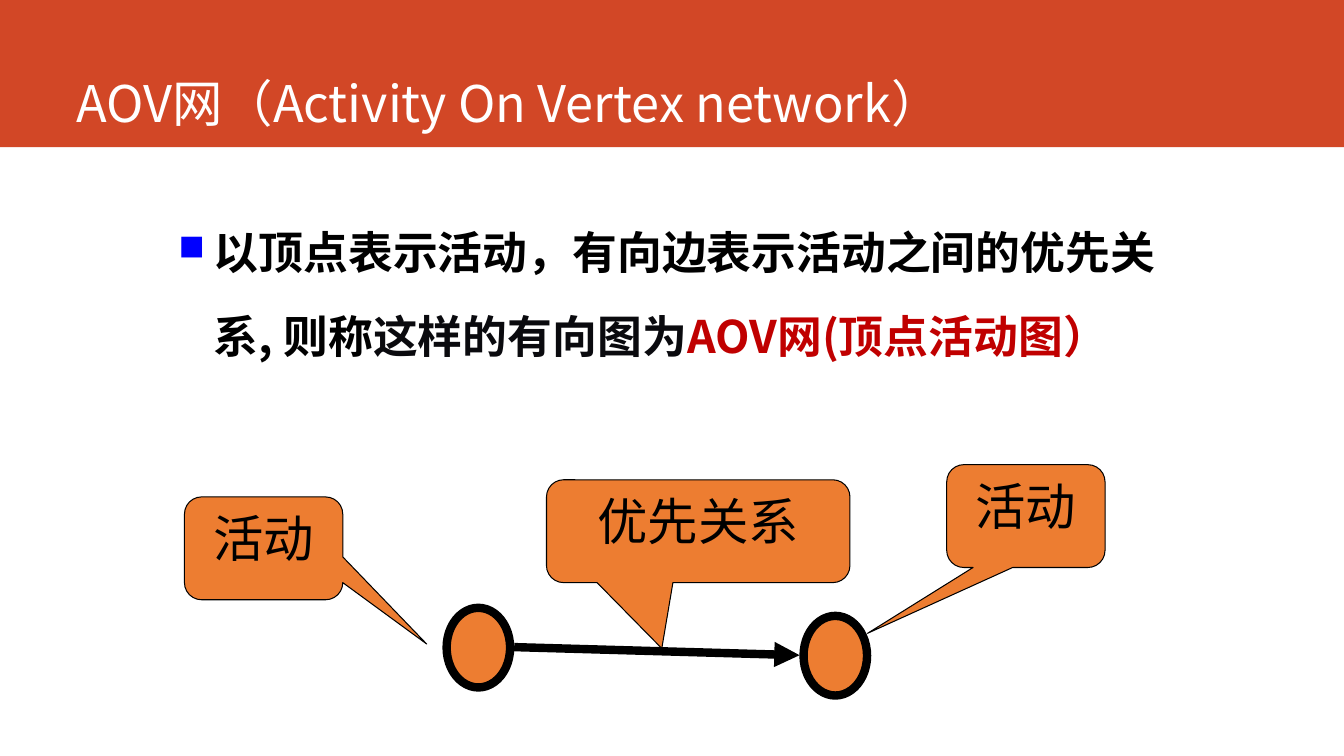
import pptx
import pptx.util
import pptx.dml.color
import pptx.enum.shapes
import pptx.enum.text
import pptx.oxml.ns
from lxml import etree

Inches = pptx.util.Inches
Pt = pptx.util.Pt
RGBColor = pptx.dml.color.RGBColor
Shape = pptx.enum.shapes.MSO_SHAPE
Anchor = pptx.enum.text.MSO_ANCHOR
Align = pptx.enum.text.PP_ALIGN
qn = pptx.oxml.ns.qn

RED = RGBColor(0xD2, 0x47, 0x26)
ORANGE = RGBColor(0xED, 0x7D, 0x31)
BLACK = RGBColor(0, 0, 0)
NEAR_BLACK = RGBColor(0x0A, 0x0A, 0x0E)
DARK_RED = RGBColor(0xC0, 0, 0)
BLUE = RGBColor(0, 0, 0xFF)
WHITE = RGBColor(0xFF, 0xFF, 0xFF)


class SlideBuilder:
    """Draws the elements of one slide in a shared style."""

    text_font = "Noto Sans CJK SC"
    label_font = "Arial"
    large = 36
    thick = 6
    thin = 0.75

    def __init__(self, presentation):
        self.slide = presentation.slides.add_slide(presentation.slide_layouts[6])

    def shape(self, kind, box, fill, line_width=None):
        shape = self.slide.shapes.add_shape(kind, *map(Inches, box))
        shape.shadow.inherit = False
        shape.fill.solid()
        shape.fill.fore_color.rgb = fill
        if line_width:
            shape.line.color.rgb = BLACK
            shape.line.width = Pt(line_width)
        else:
            shape.line.fill.background()
        return shape

    def style(self, paragraph, name, size, color=None, bold=False):
        paragraph.font.name = name
        paragraph.font.size = Pt(size)
        paragraph.font.bold = bold
        if color is not None:
            paragraph.font.color.rgb = color

    def text_box(self, box):
        frame = self.slide.shapes.add_textbox(*map(Inches, box)).text_frame
        frame.word_wrap = True
        return frame

    def title(self, text, box):
        frame = self.text_box(box)
        frame.vertical_anchor = Anchor.BOTTOM
        frame.margin_bottom = 0
        paragraph = frame.paragraphs[0]
        paragraph.text = text
        self.style(paragraph, self.text_font, self.large, WHITE)

    def bullet(self, parts, box):
        frame = self.text_box(box)
        frame.margin_left = Inches(0.06)
        frame.margin_top = Inches(0.1)
        paragraph = frame.paragraphs[0]
        paragraph.line_spacing = 1.55
        properties = paragraph._p.get_or_add_pPr()
        properties.set("marL", str(Inches(0.48)))
        properties.set("indent", str(Inches(-0.35)))
        bullet_color = etree.SubElement(properties, qn("a:buClr"))
        etree.SubElement(bullet_color, qn("a:srgbClr"), val=str(BLUE))
        etree.SubElement(properties, qn("a:buSzPct"), val="80000")
        etree.SubElement(properties, qn("a:buChar"), char="■")
        self.style(paragraph, self.text_font, 32, bold=True)
        for text, color in parts:
            run = paragraph.add_run()
            run.text = text
            run.font.color.rgb = color

    def vertex(self, left, top):
        self.shape(Shape.OVAL, (left, top, 0.63, 0.79), ORANGE, self.thick)

    def edge(self, start, end):
        edge = self.slide.shapes.add_connector(
            pptx.enum.shapes.MSO_CONNECTOR.STRAIGHT, *map(Inches, start + end))
        edge.line.color.rgb = BLACK
        edge.line.width = Pt(self.thick)
        etree.SubElement(edge.line._get_or_add_ln(), qn("a:tailEnd"), type="triangle")
        etree.SubElement(edge._element.spPr, qn("a:effectLst"))

    def callout(self, text, left, top, width, pointer):
        shape = self.shape(Shape.ROUNDED_RECTANGULAR_CALLOUT,
                           (left, top, width, 1.02), ORANGE, self.thin)
        shape.adjustments[0], shape.adjustments[1] = pointer
        frame = shape.text_frame
        frame.vertical_anchor = Anchor.TOP
        paragraph = frame.paragraphs[0]
        paragraph.text = text
        paragraph.alignment = Align.CENTER
        self.style(paragraph, self.label_font, self.large, BLACK)


def main():
    presentation = pptx.Presentation()
    presentation.slide_width = Inches(13.33)
    presentation.slide_height = Inches(7.5)
    builder = SlideBuilder(presentation)

    builder.shape(Shape.RECTANGLE, (0, 0, 13.33, 1.46), RED)
    builder.title("AOV网（Activity On Vertex network）", (0.66, 0, 11.76, 1.32))
    builder.bullet([
        ("以顶点表示活动，有向边表示活动之间的优先关系, 则称", BLACK),
        ("这样的有向图为", NEAR_BLACK),
        ("AOV网(顶点活动图）", DARK_RED),
    ], (1.58, 1.84, 10.38, 5.06))

    builder.vertex(4.43, 6.03)
    builder.vertex(7.97, 6.11)
    builder.edge((5.1, 6.42), (7.93, 6.5))
    for label in (
        ("活动", 9.39, 4.61, 1.57, (-1.0, 1.14)),
        ("活动", 1.83, 4.93, 1.57, (1.03, 0.93)),
        ("优先关系", 5.42, 4.76, 3.01, (-0.12, 1.14)),
    ):
        builder.callout(*label)

    presentation.save("out.pptx")


if __name__ == "__main__":
    main()
